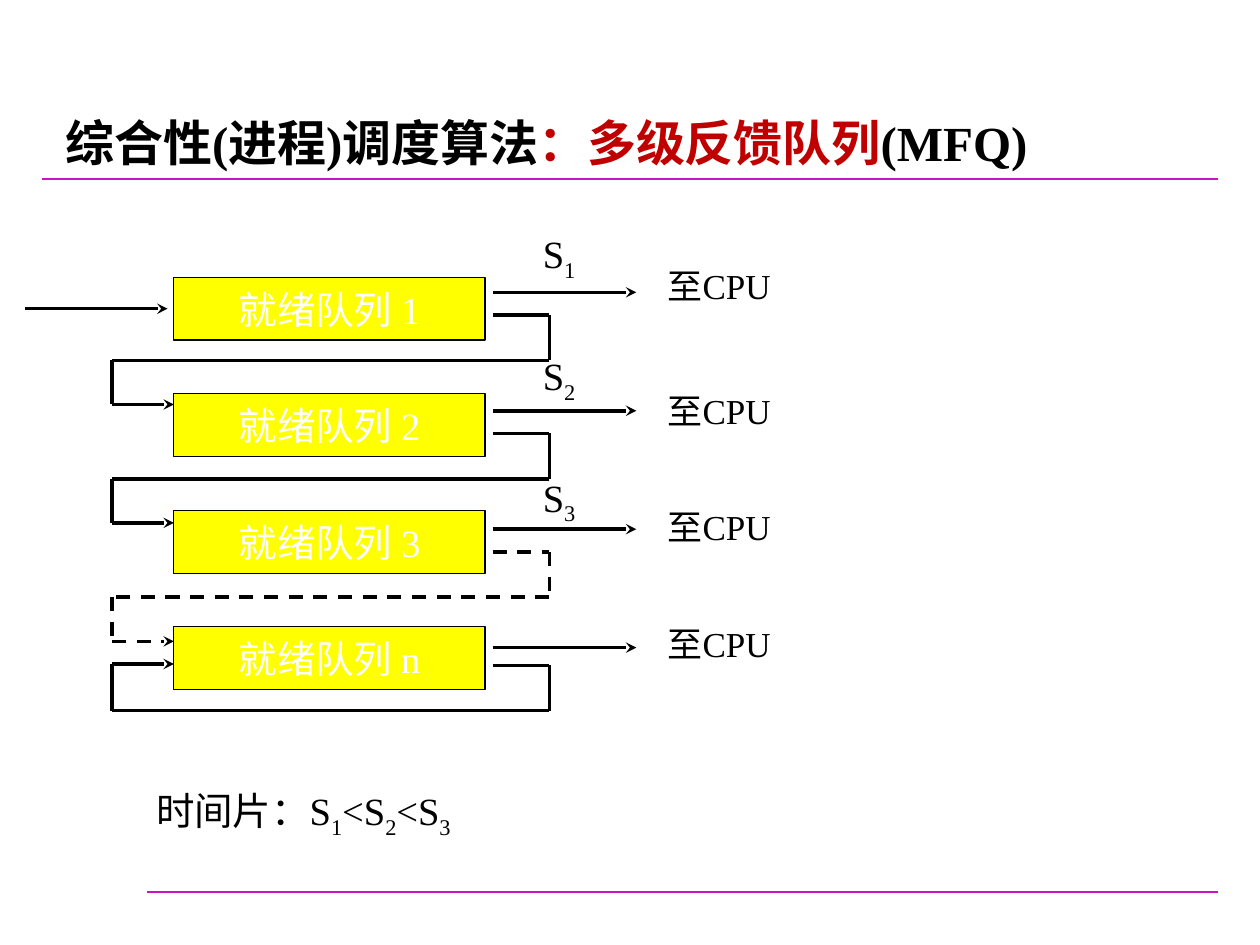
from pptx import Presentation
from pptx.dml.color import RGBColor
from pptx.enum.dml import MSO_LINE
from pptx.enum.shapes import MSO_CONNECTOR, MSO_SHAPE
from pptx.enum.text import MSO_ANCHOR, MSO_AUTO_SIZE, PP_ALIGN
from pptx.oxml.ns import qn
from pptx.util import Inches, Pt
from lxml import etree

STRAIGHT, RECTANGLE, DASH = MSO_CONNECTOR.STRAIGHT, MSO_SHAPE.RECTANGLE, MSO_LINE.DASH
MIDDLE, CENTER = MSO_ANCHOR.MIDDLE, PP_ALIGN.CENTER
FIT_SHAPE = MSO_AUTO_SIZE.SHAPE_TO_FIT_TEXT
BLACK = RGBColor(0x00, 0x00, 0x00)
WHITE = RGBColor(0xFF, 0xFF, 0xFF)
RED = RGBColor(0xC0, 0x00, 0x00)
YELLOW = RGBColor(0xFF, 0xFF, 0x00)
MAGENTA = RGBColor(0xCA, 0x14, 0xC1)
FONT = "Times New Roman"

TITLE = [("综合性(进程)调度算法", BLACK), ("：多级反馈队列", RED), ("(MFQ)", BLACK)]
QUEUES = ["1", "2", "3", "n"]
SLICES = ["1", "2", "3"]
CPU_TOPS = [2.05, 3.04, 3.96, 4.89]
# height of the way out of a queue, height of the way into the next, dashed
LOOPS = [(2.50, 3.21, False), (3.44, 4.15, False), (4.38, 5.09, True), (5.28, 5.27, False)]
RULES = [(1.17, 7.08), (0.33, 1.42)]
RULE_RIGHT = 9.67

QUEUE_LEFT, QUEUE_TOP, QUEUE_STEP = 1.38, 2.2, 0.925
QUEUE_WIDTH, QUEUE_HEIGHT = 2.47, 0.5
OUT_LEFT, OUT_RIGHT, OUT_TOP, OUT_STEP = 3.91, 5.05, 2.32, 0.94
LOOP_LEFT, LOOP_RIGHT, LOOP_DROP = 0.89, 4.36, 0.36
SLICE_TOP, SLICE_STEP = 1.78, 0.965


def add_line(page, start, end, color=BLACK, width=2, dashed=False, arrow=False):
    line = page.shapes.add_connector(STRAIGHT, *map(Inches, start + end))
    line.line.color.rgb = color
    line.line.width = Pt(width)
    if dashed:
        line.line.dash_style = DASH
    if arrow:
        outline = line.line._get_or_add_ln()
        etree.SubElement(outline, qn("a:tailEnd"), type="stealth")
    etree.SubElement(line._element.spPr, qn("a:effectLst"))


def add_span(para, text, size, color=BLACK, bold=False, subscript=False):
    span = para.add_run()
    span.text = text
    span.font.color.rgb = color
    for name, value in {"name": FONT, "size": Pt(size), "bold": bold}.items():
        setattr(span.font, name, value)
    if subscript:
        span.font._element.set("baseline", "-25000")


def add_text(page, place, size, parts, before=0, wrap=True):
    """Add a text box; each part is a text and a dict of span formats."""
    box = page.shapes.add_textbox(*map(Inches, place))
    box.text_frame.word_wrap = wrap
    box.text_frame.auto_size = FIT_SHAPE
    para = box.text_frame.paragraphs[0]
    para.space_before = Pt(before)
    for text, formats in parts:
        add_span(para, text, size, **formats)


def add_queue(page, name, top):
    box = page.shapes.add_shape(
        RECTANGLE, *map(Inches, (QUEUE_LEFT, top, QUEUE_WIDTH, QUEUE_HEIGHT)))
    box.shadow.inherit = False
    box.fill.solid()
    box.fill.fore_color.rgb = YELLOW
    box.line.color.rgb = BLACK
    box.line.width = Pt(0.75)
    frame = box.text_frame
    frame.word_wrap = False
    frame.vertical_anchor = MIDDLE
    frame.paragraphs[0].alignment = CENTER
    add_span(frame.paragraphs[0], f"就绪队列 {name}", 22, WHITE)


def add_loop(page, leave, enter, dashed):
    """Lead from a queue's right side round below it to a left side."""
    low = leave + LOOP_DROP
    corners = [(OUT_LEFT, leave), (LOOP_RIGHT, leave), (LOOP_RIGHT, low),
               (LOOP_LEFT, low), (LOOP_LEFT, enter), (QUEUE_LEFT, enter)]
    last = len(corners) - 2
    for index, (start, end) in enumerate(zip(corners, corners[1:])):
        add_line(page, start, end, dashed=dashed, arrow=index == last)


def slice_parts(label, digit):
    return [(label, {}), (digit, {"subscript": True})]


def main():
    deck = Presentation()
    deck.slide_width, deck.slide_height = Inches(10), Inches(7.5)
    page = deck.slides.add_slide(deck.slide_layouts[6])

    for left, top in RULES:
        add_line(page, (left, top), (RULE_RIGHT, top), MAGENTA, 0.75)
    add_text(page, (0.42, 0.84, 8.3, 0.57), 28,
             [(text, {"color": color, "bold": True}) for text, color in TITLE], wrap=False)

    for index, name in enumerate(QUEUES):
        add_queue(page, name, QUEUE_TOP + index * QUEUE_STEP)
    add_line(page, (0.2, 2.45), (1.33, 2.45), arrow=True)
    for index, loop in enumerate(LOOPS):
        out = OUT_TOP + index * OUT_STEP
        add_line(page, (OUT_LEFT, out), (OUT_RIGHT, out), arrow=True)
        add_loop(page, *loop)

    for index, digit in enumerate(SLICES):
        add_text(page, (4.21, SLICE_TOP + index * SLICE_STEP, 0.49, 0.52), 22,
                 slice_parts("S", digit), before=13.8)
    for top in CPU_TOPS:
        add_text(page, (5.2, top, 1.06, 0.77), 20, [("至CPU", {})], before=12.5)

    order = []
    for index, digit in enumerate(SLICES):
        order += slice_parts("<S" if index else "时间片：S", digit)
    add_text(page, (1.14, 6.2, 2.84, 0.52), 22, order, before=13.8)

    deck.save("out.pptx")


if __name__ == "__main__":
    main()
